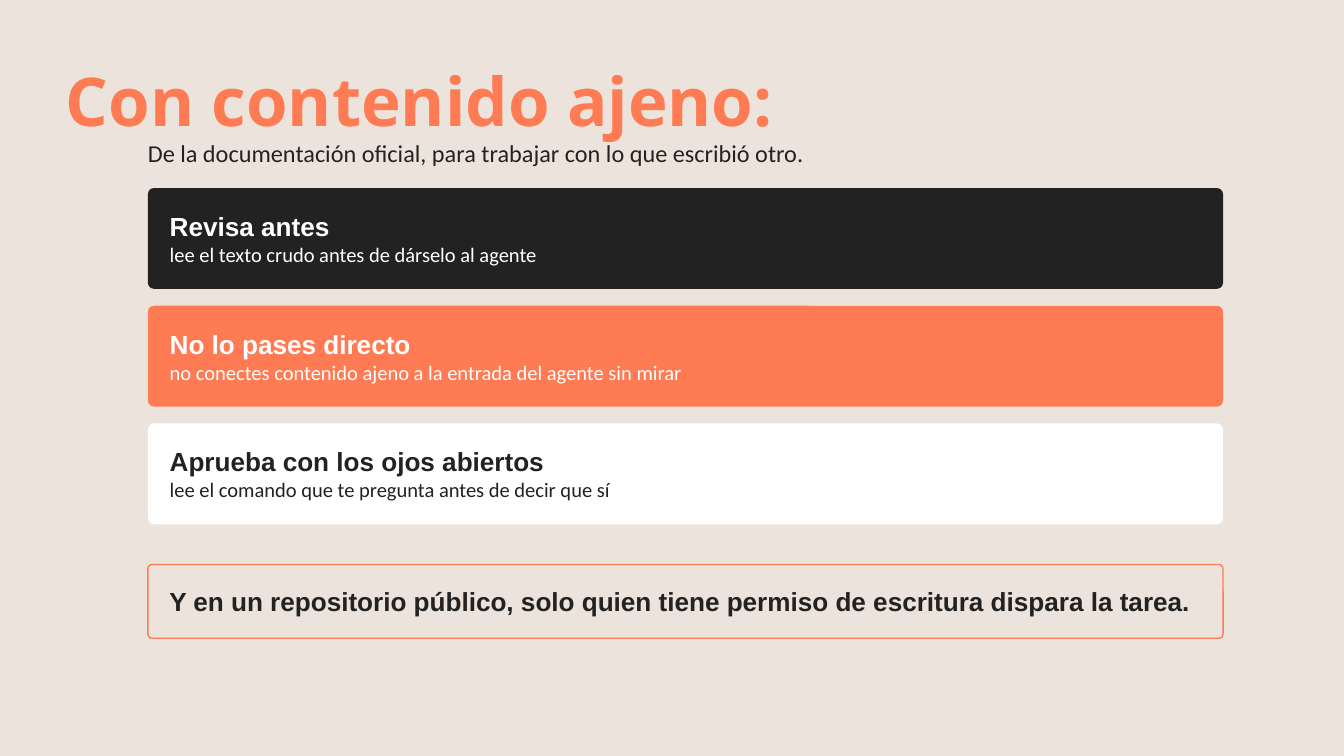
from dataclasses import dataclass

from pptx import Presentation
from pptx.dml.color import RGBColor
from pptx.enum.shapes import MSO_SHAPE
from pptx.enum.text import MSO_ANCHOR, MSO_AUTO_SIZE, PP_ALIGN
from pptx.util import Cm, Pt

ROUNDED = MSO_SHAPE.ROUNDED_RECTANGLE
MIDDLE = MSO_ANCHOR.MIDDLE
GROW = MSO_AUTO_SIZE.SHAPE_TO_FIT_TEXT
LEFT_ALIGN = PP_ALIGN.LEFT

SAND = RGBColor(0xEC, 0xE4, 0xDC)
CORAL = RGBColor(0xFF, 0x7B, 0x54)
INK = RGBColor(0x22, 0x22, 0x22)
WHITE = RGBColor(0xFF, 0xFF, 0xFF)

LEFT, WIDTH = Cm(5.59), Cm(40.64)
CARD_TOP, CARD_HEIGHT, CARD_PITCH = Cm(7.11), Cm(3.81), Cm(4.45)


@dataclass
class Line:
    text: str
    size: int
    font: str
    color: RGBColor
    bold: bool = False
    spacing: float | None = None


@dataclass
class Card:
    heading: str
    detail: str
    fill: RGBColor
    color: RGBColor


CARDS = [
    Card("Revisa antes", "lee el texto crudo antes de dárselo al agente", INK, WHITE),
    Card("No lo pases directo",
         "no conectes contenido ajeno a la entrada del agente sin mirar", CORAL, WHITE),
    Card("Aprueba con los ojos abiertos",
         "lee el comando que te pregunta antes de decir que sí", WHITE, INK),
]


def write(tf, lines: list[Line], inset_x=Cm(0), inset_y=Cm(0)) -> None:
    tf.word_wrap = True
    tf.margin_left = tf.margin_right = inset_x
    tf.margin_top = tf.margin_bottom = inset_y
    for i, line in enumerate(lines):
        p = tf.add_paragraph() if i else tf.paragraphs[0]
        p.text = line.text
        p.alignment = LEFT_ALIGN
        if line.spacing:
            p.line_spacing = Pt(line.spacing)
        p.font.size = Pt(line.size)
        p.font.name = line.font
        p.font.bold = line.bold
        p.font.color.rgb = line.color


def add_text(s, left, top, width, height, line: Line) -> None:
    tf = s.shapes.add_textbox(left, top, width, height).text_frame
    write(tf, [line])
    tf.auto_size = GROW


def add_panel(s, top, height, lines: list[Line], fill: RGBColor | None = None) -> None:
    """Add a rounded panel; without a fill it gets a coral outline."""
    sp = s.shapes.add_shape(ROUNDED, LEFT, top, WIDTH, height)
    sp.adjustments[0] = 0.06
    sp.shadow.inherit = False
    if fill is None:
        sp.fill.background()
        sp.line.color.rgb = CORAL
        sp.line.width = Pt(1.5)
    else:
        sp.fill.solid()
        sp.fill.fore_color.rgb = fill
        sp.line.fill.background()
    sp.text_frame.vertical_anchor = MIDDLE
    write(sp.text_frame, lines, Cm(0.76), Cm(0.25))


def main() -> None:
    prs = Presentation()
    prs.slide_width, prs.slide_height = Cm(50.8), Cm(28.58)
    s = prs.slides.add_slide(prs.slide_layouts[6])
    s.background.fill.solid()
    s.background.fill.fore_color.rgb = SAND

    add_text(s, Cm(2.49), Cm(1.75), Cm(39.75), Cm(3.4),
             Line("Con contenido ajeno:", 72, "Open Sans", CORAL, True, 100.8))
    add_text(s, LEFT, Cm(5.21), WIDTH, Cm(1.27),
             Line("De la documentación oficial, para trabajar con lo que escribió otro.",
                  26, "Calibri", INK))

    for i, card in enumerate(CARDS):
        add_panel(s, CARD_TOP + i * CARD_PITCH, CARD_HEIGHT,
                  [Line(card.heading, 28, "Arial", card.color, True),
                   Line(card.detail, 22, "Calibri", card.color)], card.fill)

    add_panel(s, Cm(21.34), Cm(2.79),
              [Line("Y en un repositorio público, solo quien tiene permiso de escritura "
                    "dispara la tarea.", 28, "Arial", INK, True)])

    prs.save("out.pptx")


if __name__ == "__main__":
    main()
